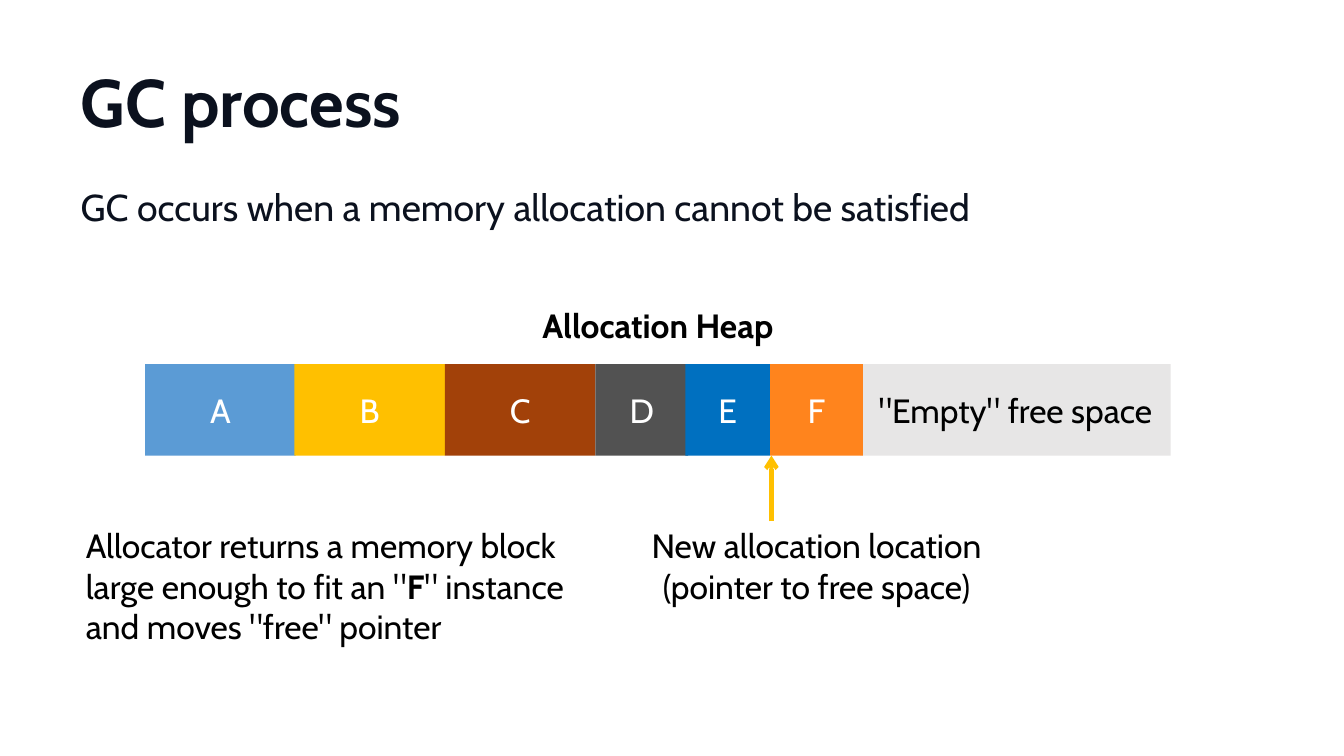
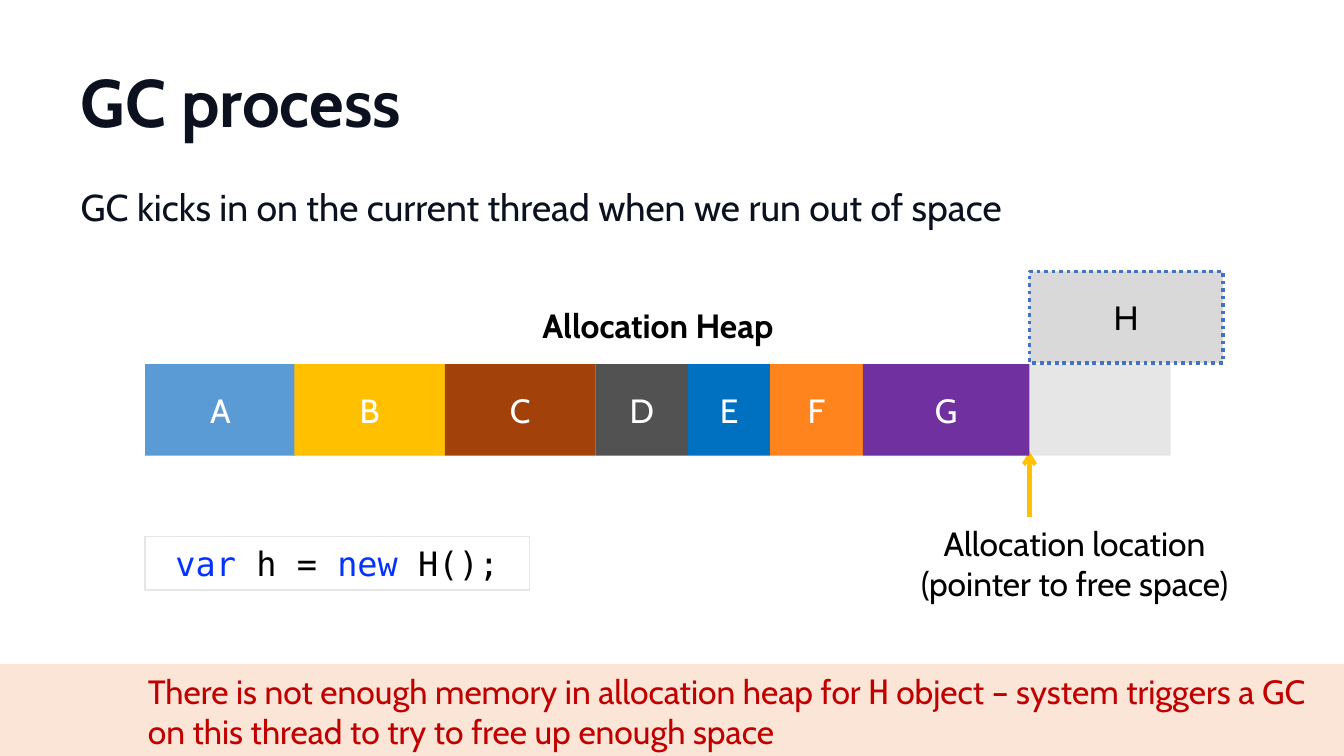
from dataclasses import dataclass

from lxml.etree import SubElement
from pptx import Presentation
from pptx.dml.color import RGBColor
from pptx.enum.dml import MSO_LINE_DASH_STYLE as Dash
from pptx.enum.shapes import MSO_CONNECTOR as Connector, MSO_SHAPE as Shape
from pptx.enum.text import MSO_ANCHOR as Anchor, MSO_AUTO_SIZE as AutoSize, PP_ALIGN as Align
from pptx.oxml.ns import qn
from pptx.util import Inches, Pt


@dataclass(frozen=True)
class Theme:
    font: str = "Cabin"
    code_font: str = "DejaVu Sans Mono"
    title_size: int = 36
    lead_size: int = 20
    text_size: int = 18
    heading: str = "0B111E"
    text: str = "000000"
    block_text: str = "FFFFFF"
    free: str = "E7E6E6"
    pointer: str = "FFC000"
    keyword: str = "0432FF"
    pending: str = "D9D9D9"
    pending_line: str = "4472C4"
    alert: str = "C00000"
    alert_band: str = "FBE5D6"


THEME = Theme()
SLIDE_WIDTH = 10
SLIDE_HEIGHT = SLIDE_WIDTH * 9 / 16
HEAP_TOP, BLOCK_HEIGHT, HEAP_RIGHT = 2.71, 0.68, 8.71
POINTER_LENGTH = 0.49

# Memory block: left, width, fill
BLOCKS = {
    "A": (1.08, 1.12, "5B9BD5"),
    "B": (2.19, 1.12, "FFC000"),
    "C": (3.31, 1.12, "A24109"),
    "D": (4.43, 0.69, "525252"),
    "E": (5.12, 0.61, "0070C0"),
    "F": (5.73, 0.69, "FF841D"),
    "G": (6.42, 1.24, "7030A0"),
}

SLIDES = [
    {
        "title": "GC process",
        "lead": "GC occurs when a memory allocation cannot be satisfied",
        "blocks": {name: BLOCKS[name] for name in "ABCDF"} | {"E": (5.1, 0.63, "0070C0")},
        "free": (6.4, '"Empty" free space'),
        "pointer": (5.74, 3.39),
        "pointer_label": ("New allocation location (pointer to free space)", (4.57, 3.86, 3.01, 0.71)),
    },
    {
        "title": "GC process",
        "lead": "GC kicks in on the current thread when we run out of space",
        "blocks": BLOCKS,
        "free": (6.42, ""),
        "pointer": (7.66, 3.36),
        "pointer_label": ("Allocation location (pointer to free space)", (6.49, 3.84, 3.01, 0.71)),
    },
]

ALLOCATOR_NOTE = [
    ('Allocator returns a memory block large enough to fit an "', {}),
    ("F", {"bold": True}),
    ('" instance and moves "free" pointer', {}),
]
CODE = [
    ("var ", {"color": THEME.keyword}),
    ("h = ", {}),
    ("new", {"color": THEME.keyword}),
    (" H();", {}),
]
ALERT = [
    ("There is not enough memory in allocation heap for ", {}),
    ("H", {"font": THEME.code_font}),
    (" object – system triggers a GC on this thread to try to free up enough space", {}),
]


def rgb(color):
    return RGBColor.from_string(color)


def write(shape, content, align=Align.LEFT, anchor=Anchor.TOP, **style):
    """Fill a shape with one paragraph, from a string or (text, style) runs."""
    frame = shape.text_frame
    frame.word_wrap = True
    frame.auto_size = AutoSize.NONE
    frame.vertical_anchor = anchor
    paragraph = frame.paragraphs[0]
    paragraph.alignment = align
    paragraph.space_before = Pt(0)
    for text, run_style in [(content, {})] if isinstance(content, str) else content:
        look = style | run_style
        run = paragraph.add_run()
        run.text = text
        run.font.name = look.get("font", THEME.font)
        run.font.size = Pt(look.get("size", THEME.text_size))
        run.font.bold = look.get("bold", False)
        run.font.color.rgb = rgb(look.get("color", THEME.text))


def place(shape, box):
    shape.left, shape.top, shape.width, shape.height = map(Inches, box)


def add_label(slide, content, box, **style):
    write(slide.shapes.add_textbox(*map(Inches, box)), content, **style)


def add_box(slide, box, fill=None, line=None, line_width=0.75):
    shape = slide.shapes.add_shape(Shape.RECTANGLE, *map(Inches, box))
    shape.shadow.inherit = False
    if fill:
        shape.fill.solid()
        shape.fill.fore_color.rgb = rgb(fill)
    else:
        shape.fill.background()
    if line:
        shape.line.color.rgb = rgb(line)
        shape.line.width = Pt(line_width)
    else:
        shape.line.fill.background()
    return shape


def add_block(slide, text, left, width, fill, color=THEME.block_text, top=HEAP_TOP, **line):
    block = add_box(slide, (left, top, width, BLOCK_HEIGHT), fill, **line)
    if text:
        write(block, text, Align.CENTER, Anchor.MIDDLE, color=color)
    return block


def add_pointer(slide, x, tip):
    arrow = slide.shapes.add_connector(
        Connector.STRAIGHT, Inches(x), Inches(tip + POINTER_LENGTH), Inches(x), Inches(tip))
    arrow.line.color.rgb = rgb(THEME.pointer)
    arrow.line.width = Pt(2.25)
    properties = arrow._element.spPr
    SubElement(properties.find(qn("a:ln")), qn("a:tailEnd"), type="arrow")
    SubElement(properties, qn("a:effectLst"))


def add_heap_slide(presentation, data):
    """Add the parts both slides share: title, lead, heap and pointer."""
    slide = presentation.slides.add_slide(presentation.slide_layouts[1])
    title, lead = slide.shapes.title, slide.placeholders[1]
    place(title, (0.5, 0.28, 9, 0.94))
    write(title, data["title"], anchor=Anchor.MIDDLE,
          size=THEME.title_size, bold=True, color=THEME.heading)
    place(lead, (0.5, 1.32, 9, 1.24))
    properties = lead.text_frame.paragraphs[0]._p.get_or_add_pPr()
    properties.set("marL", "0")
    properties.set("indent", "0")
    SubElement(properties, qn("a:buNone"))
    write(lead, data["lead"], size=THEME.lead_size, color=THEME.heading)

    free_left, free_text = data["free"]
    add_block(slide, free_text, free_left, HEAP_RIGHT - free_left, THEME.free, THEME.text)
    add_label(slide, "Allocation Heap", (3.55, 2.22, 2.69, 0.4), align=Align.CENTER, bold=True)
    add_label(slide, *data["pointer_label"], align=Align.CENTER)
    add_pointer(slide, *data["pointer"])
    for name, (left, width, fill) in data["blocks"].items():
        add_block(slide, name, left, width, fill)
    return slide


def add_failed_allocation(slide):
    code = add_box(slide, (1.08, 3.99, 2.86, 0.4), line=THEME.free)
    write(code, CODE, Align.CENTER, font=THEME.code_font)
    pending = add_block(slide, "H", 7.66, 1.44, THEME.pending, THEME.text,
                        top=2.02, line=THEME.pending_line, line_width=2)
    pending.line.dash_style = Dash.ROUND_DOT
    band_top = 4.94
    band = add_box(slide, (0, band_top, SLIDE_WIDTH, SLIDE_HEIGHT - band_top), THEME.alert_band)
    band.text_frame.margin_left = Inches(1.1)
    write(band, ALERT, color=THEME.alert)


def main():
    presentation = Presentation()
    presentation.slide_width = Inches(SLIDE_WIDTH)
    presentation.slide_height = Inches(SLIDE_HEIGHT)
    allocation, collection = [add_heap_slide(presentation, data) for data in SLIDES]
    add_label(allocation, ALLOCATOR_NOTE, (0.54, 3.86, 4.03, 1.01))
    add_failed_allocation(collection)
    presentation.save("out.pptx")


if __name__ == "__main__":
    main()
